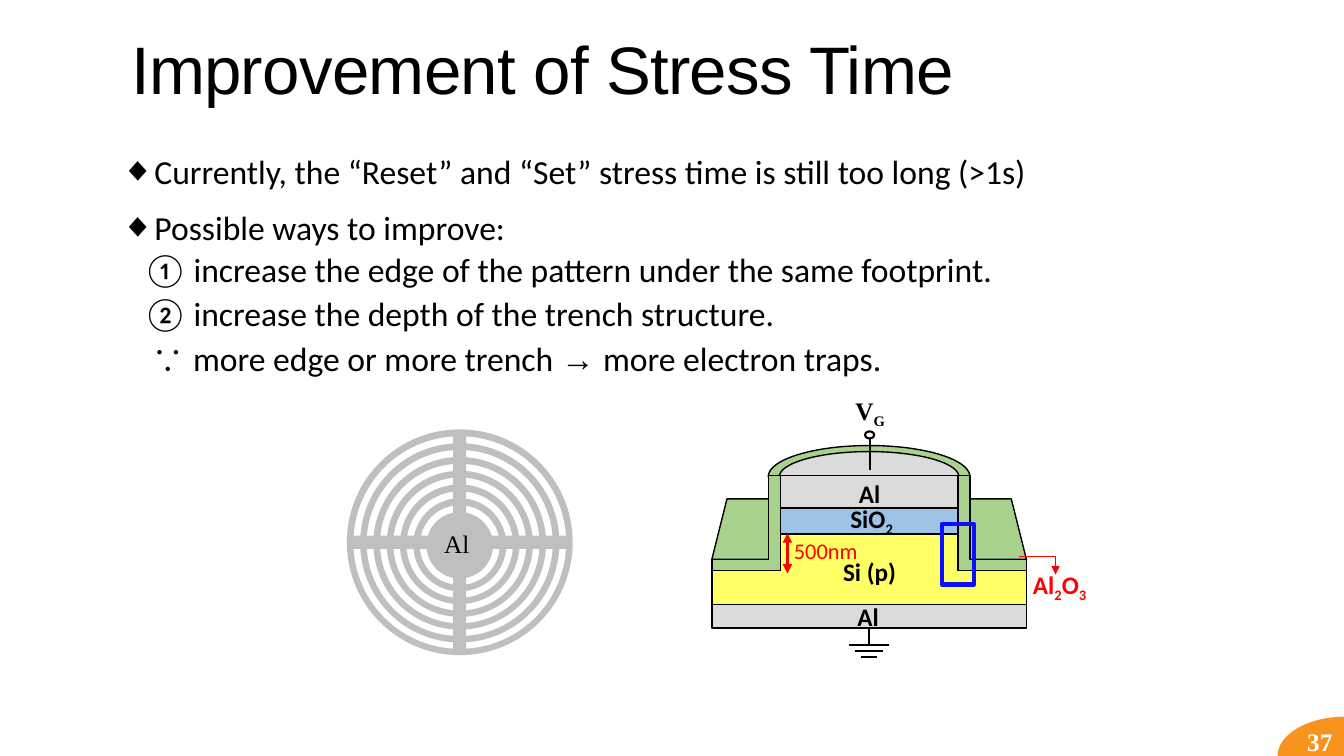
import math
from lxml import etree
from pptx import Presentation
from pptx.dml.color import RGBColor
from pptx.enum import shapes, text
from pptx.oxml import ns
from pptx.util import Inches, Pt

HUES = {"ink": "000000", "white": "FFFFFF", "grey": "BFBFBF", "metal": "DBDBDB",
        "green": "A9D18E", "yellow": "FFFF66", "oxide": "9DC3E6",
        "red": "FF0000", "blue": "0E0EFF", "orange": "F8931D"}
SANS, SERIF, HEAD = "Calibri", "Times New Roman", "Arial"
KIND = shapes.MSO_SHAPE

TITLE = "Improvement of Stress Time"
# level, left margin, indent, bullet tag, bullet value, runs
BULLET = ("buChar", {"char": "◆"})
NUMBER = ("buAutoNum", {"type": "circleNumWdWhitePlain"})
POINTS = [
    (0, 0.1, -0.1, BULLET, [("Currently, the “Reset” and “Set” stress time is still too long (>1s)", SANS)]),
    (0, 0.1, -0.1, BULLET, [("Possible ways to improve:", SANS)]),
    (1, 0.72, -0.5, NUMBER, [("increase the edge of the pattern under the same footprint.", SANS)]),
    (1, 0.72, -0.5, NUMBER, [("increase the depth of the trench structure.", SANS)]),
    (1, 0.3, 0, ("buNone", {}), [("∵ ", SERIF), ("more edge or more trench ", SANS),
                                 ("→ ", SERIF), ("more electron traps.", SANS)]),
]

# Ring pattern: outer and inner diameter, number of discs, centre
OUTER, INNER, DISCS = 2.24, 0.66, 13
RING_X, RING_Y, DRIFT = 4.56, 5.38, 0.03
BAR, SPAN = 0.13, 2.18

# Device: axis, outer edges, mesa edges
AXIS, LEFT, RIGHT = 8.62, 7.06, 10.18
MESA_L, MESA_R, DOME_Y = 7.73, 9.5, 4.73
WIDTH, MESA = RIGHT - LEFT, MESA_R - MESA_L
DOMES = [(1.0, 0.31, "green"), (0.89, 0.25, "metal")]
BASE = [(MESA_L, 5.2), (MESA_R, 5.2), (MESA_R, 5.66), (RIGHT, 5.66),
        (RIGHT, 6.03), (LEFT, 6.03), (LEFT, 5.66), (MESA_L, 5.66)]
WING = [(9.5, 4.72), (9.62, 4.72), (9.62, 5.55), (RIGHT, 5.55), (RIGHT, 5.66), (9.5, 5.66)]
LAYERS = [(MESA_L, 5.04, MESA, 0.26, "oxide"), (LEFT, 6, WIDTH, 0.23, "metal"),
          (MESA_L, 4.72, MESA, 0.32, "metal")]
# left, top, width, text with every second piece lowered, size, font, colour, bold
LABELS = [
    (8.19, 4.94, 0.91, ("SiO", "2"), 18, SANS, "ink", True),
    (8.11, 5.47, 1.03, ("Si (p)",), 18, SANS, "ink", True),
    (7.77, 5.28, 0.84, ("500nm",), 16, SANS, "red", False),
    (8.25, 5.92, 0.72, ("Al",), 18, SANS, "ink", True),
    (8.37, 4.7, 0.51, ("Al",), 18, SANS, "ink", True),
    (8.35, 3.87, 0.56, ("V", "G"), 18, SERIF, "ink", True),
    (10.09, 5.6, 0.84, ("Al", "2", "O", "3"), 18, SANS, "red", True),
]
GROUND = [(6.4, 0.2), (6.46, 0.14), (6.52, 0.08)]


def hue(name):
    return RGBColor.from_string(HUES[name])


def add(parent, tag, **attrs):
    return etree.SubElement(parent, ns.qn("a:" + tag), attrs)


def paint(shape, fill, edge=None, width=1):
    shape.shadow.inherit = False
    if fill:
        shape.fill.solid()
        shape.fill.fore_color.rgb = hue(fill)
    else:
        shape.fill.background()
    if edge:
        shape.line.color.rgb = hue(edge)
        shape.line.width = Pt(width)
    else:
        shape.line.fill.background()
    return shape


def block(kind, x, y, w, h, fill, edge=None, width=1):
    box = slide.shapes.add_shape(kind, Inches(x), Inches(y), Inches(w), Inches(h))
    return paint(box, fill, edge, width)


def outline(points, fill):
    spots = [(Inches(x), Inches(y)) for x, y in points]
    pen = slide.shapes.build_freeform(*spots[0], scale=1.0)
    pen.add_line_segments(spots[1:], close=True)
    paint(pen.convert_to_shape(), fill, "ink")


def style(run, size, font, color, bold=False):
    run.font.size, run.font.name, run.font.bold = Pt(size), font, bold
    run.font.color.rgb = hue(color)


def label(x, y, w, pieces, size, font, color, bold, wrap=True):
    box = slide.shapes.add_textbox(Inches(x), Inches(y), Inches(w), Inches(0.4))
    frame = box.text_frame
    frame.word_wrap = wrap
    line = frame.paragraphs[0]
    line.alignment = text.PP_ALIGN.CENTER
    for i, piece in enumerate(pieces):
        run = line.add_run()
        run.text = piece
        style(run, size, font, color, bold)
        if i % 2:
            run.font._element.set("baseline", "-25000")


def wire(x1, y1, x2, y2, color="ink", width=1.5, ends=(), bent=False):
    kind = shapes.MSO_CONNECTOR.ELBOW if bent else shapes.MSO_CONNECTOR.STRAIGHT
    link = slide.shapes.add_connector(kind, Inches(x1), Inches(y1), Inches(x2), Inches(y2))
    link.line.color.rgb = hue(color)
    link.line.width = Pt(width)
    props = link._element.spPr
    if bent:
        props.find(ns.qn("a:prstGeom")).set("prst", "bentConnector2")
    for end in ends:
        add(props.find(ns.qn("a:ln")), end, type="triangle")
    add(props, "effectLst")


def place(holder, x, y, w, h):
    holder.left, holder.top, holder.width, holder.height = map(Inches, (x, y, w, h))
    holder.text_frame.auto_size = text.MSO_AUTO_SIZE.NONE
    return holder.text_frame


def write_body():
    frame = place(slide.placeholders[1], 1.2, 1.49, 11, 2.34)
    frame.margin_left = frame.margin_right = 0
    frame.vertical_anchor = text.MSO_ANCHOR.TOP
    for i, (level, left, indent, (tag, attrs), runs) in enumerate(POINTS):
        line = frame.add_paragraph() if i else frame.paragraphs[0]
        line.level, line.line_spacing = level, 0.9
        line.space_before = Pt((2 if level else 12) if i else 0)
        line.space_after = Pt(4 if level else 2)
        props = line._p.get_or_add_pPr()
        props.set("marL", str(Inches(left)))
        props.set("indent", str(Inches(indent)))
        add(add(props, "buClr"), "srgbClr", val=HUES["ink"])
        add(props, tag, **attrs)
        for words, font in runs:
            run = line.add_run()
            run.text = words
            style(run, 24, font, "ink")


def draw_rings():
    for i in range(DISCS):
        part = i / (DISCS - 1)
        size = OUTER - part * (OUTER - INNER)
        block(KIND.OVAL, RING_X - size / 2, RING_Y + part * DRIFT - size / 2,
              size, size, "white" if i % 2 else "grey")
    for w, h in [(SPAN, BAR), (BAR, SPAN)]:
        block(KIND.RECTANGLE, RING_X - w / 2, RING_Y - h / 2, w, h, "grey")
    label(3.97, 5.19, 1.12, ("Al",), 18, SERIF, "ink", False)


def draw_device():
    block(KIND.TRAPEZOID, LEFT, 4.95, WIDTH, 0.6, "green", "ink")
    for rx, ry, fill in DOMES:
        turns = [math.pi * i / 48 for i in range(49)]
        outline([(AXIS + rx * math.cos(t), DOME_Y - ry * math.sin(t)) for t in turns], fill)
    outline(BASE, "yellow")
    for x, y, w, h, fill in LAYERS:
        block(KIND.RECTANGLE, x, y, w, h, fill, "ink")
    block(KIND.OVAL, 8.58, 4.28, 0.09, 0.07, "white", "ink", 1.5)
    wire(8.63, 4.35, 8.63, 4.66)
    for y, half in GROUND:
        wire(AXIS - half, y, AXIS + half, y)
    wire(AXIS, 6.22, AXIS, 6.4)
    outline(WING, "green")
    outline([(2 * AXIS - x, y) for x, y in WING], "green")
    for item in LABELS:
        label(*item)
    wire(10.11, 5.52, 10.47, 5.7, "red", 1, ["tailEnd"], bent=True)
    wire(7.81, 5.29, 7.81, 5.69, "red", 2.25, ["headEnd", "tailEnd"])
    block(KIND.RECTANGLE, 9.34, 5.2, 0.32, 0.6, None, "blue", 3)


deck = Presentation()
deck.slide_width, deck.slide_height = Inches(13.33), Inches(7.5)
slide = deck.slides.add_slide(deck.slide_layouts[1])

corner = block(KIND.PIE, 12.67, 7.11, 1.34, 0.79, "orange")
corner.adjustments[0], corner.adjustments[1] = 107.68, 162
label(12.84, 7.16, 0.5, ("37",), 18, SERIF, "white", True, wrap=False)

head = place(slide.shapes.title, 1.2, 0.2, 11, 1.06)
head.text = TITLE
head.vertical_anchor = text.MSO_ANCHOR.MIDDLE
head.paragraphs[0].alignment = text.PP_ALIGN.LEFT
head.paragraphs[0].line_spacing = 0.85
style(head.paragraphs[0].runs[0], 48, HEAD, "ink")
head.paragraphs[0].runs[0].font._element.set("spc", "-50")

write_body()
draw_rings()
draw_device()
deck.save("out.pptx")
